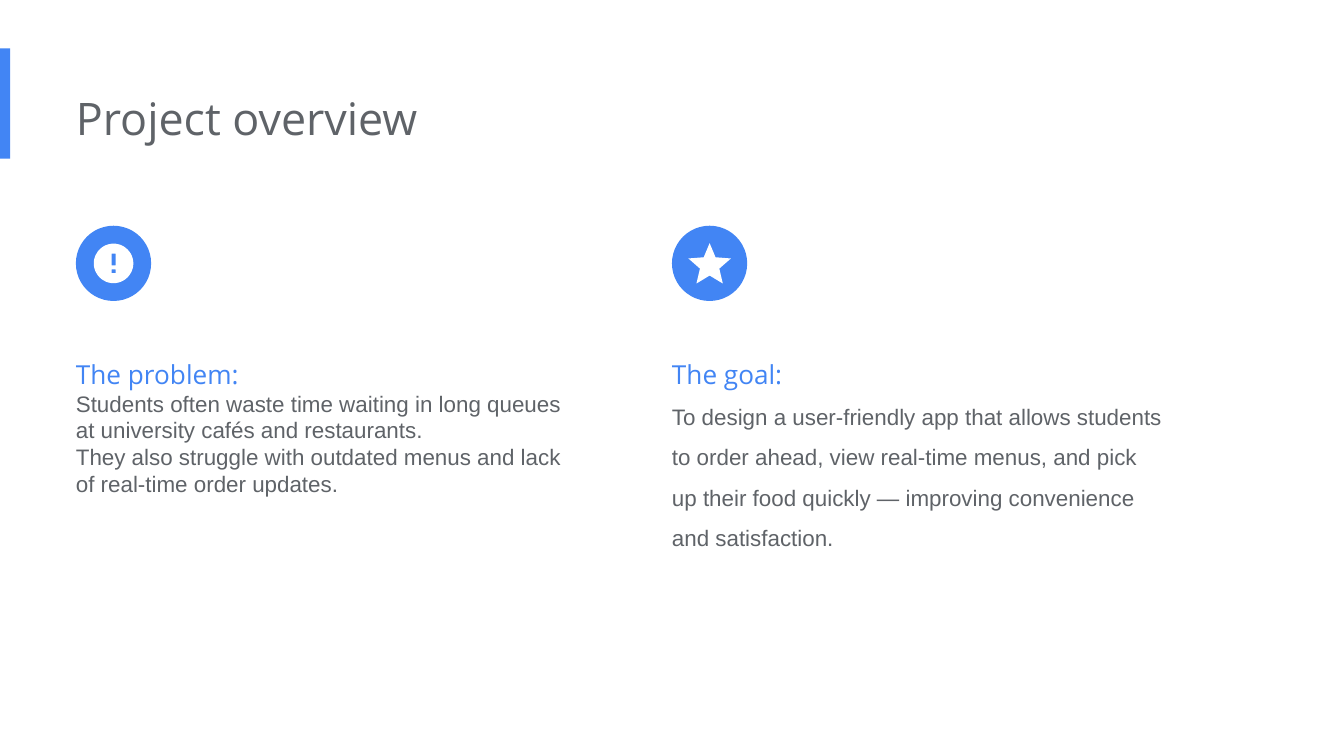
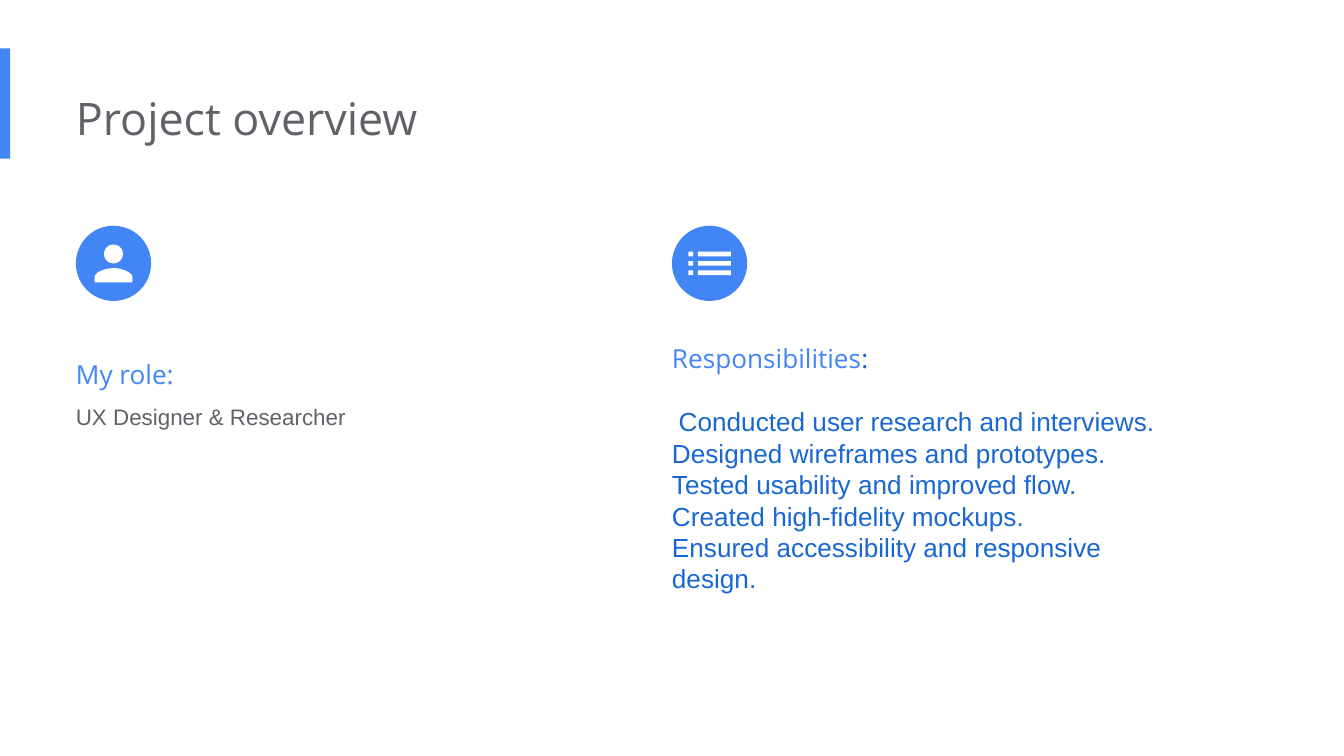
from math import cos, pi, sin

from pptx import Presentation
from pptx.dml.color import RGBColor
from pptx.enum.shapes import MSO_SHAPE as SHAPE
from pptx.enum.text import MSO_AUTO_SIZE as AUTO_SIZE
from pptx.util import Emu, Pt

SCALE = 4572
FINE = SCALE / 5
BLUE, DARK_BLUE, GREY, WHITE = "4285F4", "1967D2", "5F6368", "FFFFFF"
TITLE = dict(name="Open Sans", size=24, color=GREY)
HEADING = dict(name="Open Sans", size=14, color=BLUE)
COLON = dict(HEADING, color=DARK_BLUE)
BODY = dict(name="Arial", size=12, color=GREY)
DUTY = dict(name="Arial", size=14, color=DARK_BLUE)
LOOSE = dict(line_spacing=1.5)
DISC = 112
COLUMNS = (113, 1000)


def px(n):
    return Emu(n * SCALE)


def rgb(color):
    return RGBColor.from_string(color)


def paint(sp, color):
    sp.shadow.inherit = False
    sp.fill.solid()
    sp.fill.fore_color.rgb = rgb(color)
    sp.line.fill.background()


def add_preset(s, kind, x, y, w, h, color):
    paint(s.shapes.add_shape(kind, px(x), px(y), px(w), px(h)), color)


def add_text(s, x, y, w, h, paragraphs):
    tf = s.shapes.add_textbox(px(x), px(y), px(w), px(h)).text_frame
    frame = dict(word_wrap=True, auto_size=AUTO_SIZE.SHAPE_TO_FIT_TEXT, margin_left=0,
                 margin_top=px(20), margin_right=px(20), margin_bottom=px(20))
    for key, value in frame.items():
        setattr(tf, key, value)
    for i, (runs, layout) in enumerate(paragraphs):
        p = tf.add_paragraph() if i else tf.paragraphs[0]
        for key, value in layout.items():
            if key == "indent":
                p._p.get_or_add_pPr().set("indent", str(px(value)))
            else:
                setattr(p, key, value)
        for text, style in runs:
            r = p.add_run()
            r.text = text
            r.font.name = style["name"]
            r.font.size = Pt(style["size"])
            r.font.color.rgb = rgb(style["color"])


def rect(left, top, right, bottom):
    return [(left, top), (right, top), (right, bottom), (left, bottom)]


def circle(cy, radius, steps=48):
    angles = [2 * pi * i / steps for i in range(steps)]
    return [(radius * cos(a), cy + radius * sin(a)) for a in angles]


def bezier(a, b, c, d, steps=16):
    ts = [i / steps for i in range(steps + 1)]
    return [tuple((1 - t) ** 3 * m + 3 * t * (1 - t) ** 2 * n + 3 * t * t * (1 - t) * o + t ** 3 * q
                  for m, n, o, q in zip(a, b, c, d)) for t in ts]


def mirrored(half):
    return half + [(-x, y) for x, y in reversed(half)]


def alert_icon():
    return [circle(0, 147), rect(-15, -73, 15, 15), rect(-15, 44, 15, 73)]


def star_icon():
    return [mirrored([(0, -150), (44, -45), (158, -36), (72, 39), (98, 150), (0, 91)])]


def person_icon():
    shoulder = bezier((0, 35), (47, 35), (141, 59), (141, 106))
    return [circle(-70, 70), mirrored(shoulder + [(141, 141)])]


def list_icon():
    return [rect(left, y, right, y + 35)
            for y in (-88, -18, 52) for left, right in ((-158, -123), (-88, 158))]


def add_icon(s, x, y, contours):
    add_preset(s, SHAPE.OVAL, x, y, DISC, DISC, BLUE)
    builder = None
    for first, *rest in contours:
        if builder is None:
            builder = s.shapes.build_freeform(*first, scale=FINE)
        else:
            builder.move_to(*first)
        builder.add_line_segments(rest, close=True)
    paint(builder.convert_to_shape(px(x + DISC // 2), px(y + DISC // 2)), WHITE)


def add_column(s, x, y, h, icon, paragraphs):
    add_text(s, x, y + 154, 754, h, paragraphs)
    add_icon(s, x, y, icon)


def overview_slide(prs, columns):
    s = prs.slides.add_slide(prs.slide_layouts[6])
    add_preset(s, SHAPE.RECTANGLE, 0, 72, 15, 164, BLUE)
    add_text(s, COLUMNS[0], 115, 1346, 122, [([("Project overview", TITLE)], {})])
    for x, column in zip(COLUMNS, columns):
        add_column(s, x, 336, *column)


def main():
    prs = Presentation()
    prs.slide_width, prs.slide_height = px(2000), px(1125)
    problem = [
        ([("The problem:", HEADING)], LOOSE),
        ([("Students often waste time waiting in long queues at university cafés and restaurants.",
           BODY)], {}),
        ([("They also struggle with outdated menus and lack of real-time order updates.", BODY)], {}),
    ]
    goal = [
        ([("The goal:", HEADING)], LOOSE),
        ([("To design a user-friendly app that allows students to order ahead, view real-time menus, "
           "and pick up their food quickly — improving convenience and satisfaction.", BODY)], LOOSE),
    ]
    role = [
        ([("My role:", HEADING)], LOOSE),
        ([("UX Designer & Researcher", BODY)], LOOSE),
    ]
    duties = [
        ([("Responsibilities", HEADING), (":", COLON)], {}),
        ([("Conducted user research and interviews.", DUTY)], dict(space_before=Pt(17), indent=10)),
    ] + [([(text, DUTY)], {}) for text in (
        "Designed wireframes and prototypes.",
        "Tested usability and improved flow.",
        "Created high-fidelity mockups.",
        "Ensured accessibility and responsive design.",
    )]
    overview_slide(prs, [(334, alert_icon(), problem), (354, star_icon(), goal)])
    overview_slide(prs, [(172, person_icon(), role), (582, list_icon(), duties)])
    prs.save("out.pptx")


if __name__ == "__main__":
    main()
